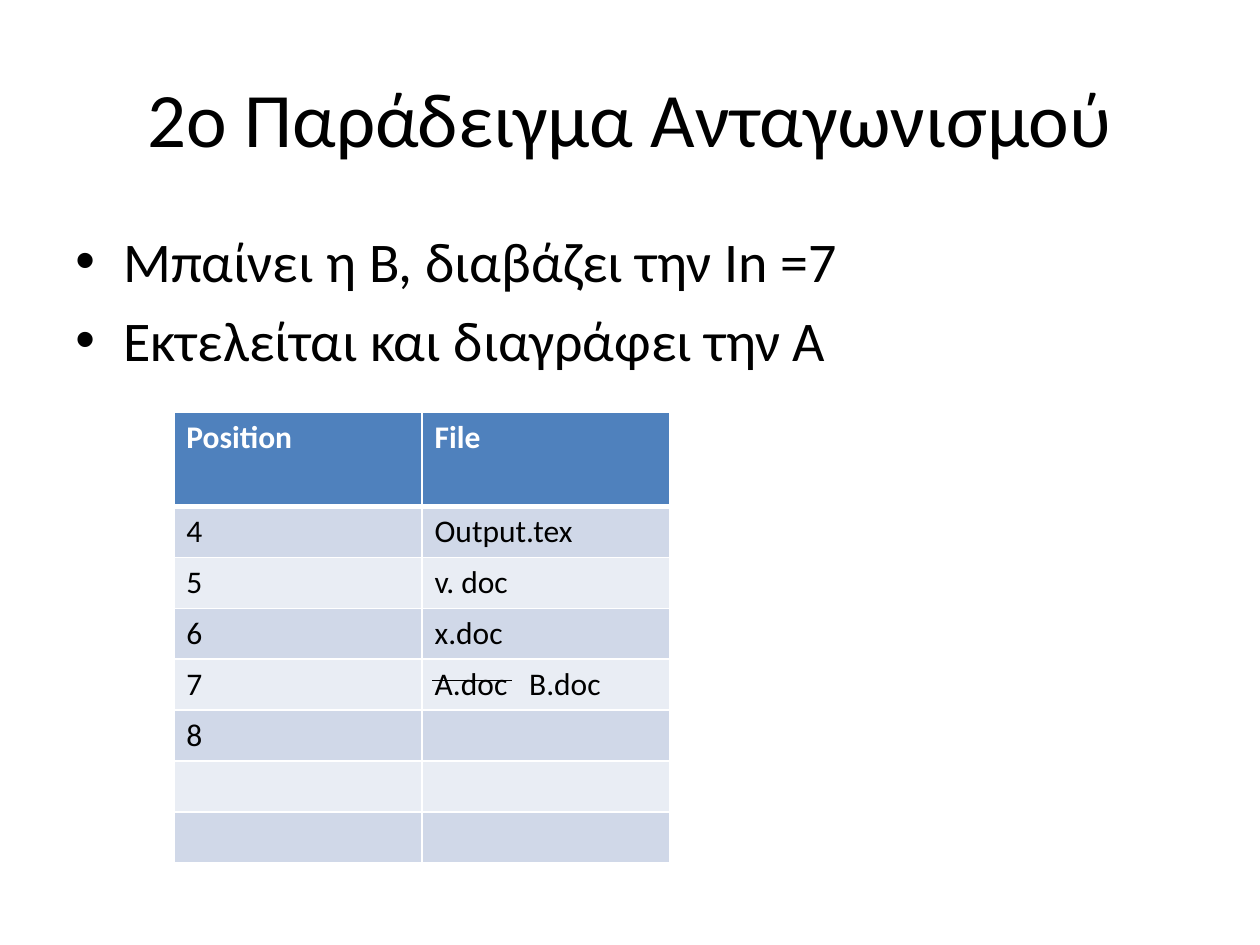
from lxml.etree import SubElement
from pptx import Presentation
from pptx.dml.color import RGBColor
from pptx.enum.shapes import MSO_CONNECTOR
from pptx.enum.text import MSO_ANCHOR, PP_ALIGN
from pptx.oxml.ns import qn
from pptx.util import Emu, Inches, Pt

BLACK, WHITE = "000000", "FFFFFF"
HEAD, BANDS = "4F81BD", ("D0D8E8", "E9EDF4")


def tint(code):
    return RGBColor.from_string(code)


def edge(cell, side, width):
    """Draw one white border of a cell."""
    line = SubElement(cell._tc.get_or_add_tcPr(), qn(f"a:ln{side}"), w=str(Pt(width)))
    fill = SubElement(line, qn("a:solidFill"))
    SubElement(fill, qn("a:srgbClr"), val=WHITE)


class Deck:
    """Holds the style and the current slide; places are shares of its size."""

    font = "Calibri"
    indent = Inches(0.38)
    gap = Inches(0.75)

    def __init__(self):
        self.show = Presentation()
        self.show.slide_width, self.show.slide_height = Inches(10), Inches(7.5)
        self.slide = self.show.slides.add_slide(self.show.slide_layouts[5])

    def box(self, x, y, w, h):
        wide, high = self.show.slide_width, self.show.slide_height
        return [Emu(round(n)) for n in (x * wide, y * high, w * wide, h * high)]

    def text(self, par, words, size, color=BLACK, bold=False):
        run = par.add_run()
        run.text = words
        run.font.name, run.font.size, run.font.bold = self.font, Pt(size), bold
        run.font.color.rgb = tint(color)

    def title(self, words, *area):
        shape = self.slide.shapes.title
        shape.left, shape.top, shape.width, shape.height = self.box(*area)
        frame = shape.text_frame
        frame.vertical_anchor = MSO_ANCHOR.MIDDLE
        par = frame.paragraphs[0]
        par.alignment = PP_ALIGN.CENTER
        self.text(par, words, 44)

    def points(self, items, *area):
        frame = self.slide.shapes.add_textbox(*self.box(*area)).text_frame
        frame.word_wrap = True
        for i, item in enumerate(items):
            par = frame.add_paragraph() if i else frame.paragraphs[0]
            par.space_before = Pt(6.4)
            props = par._p.get_or_add_pPr()
            props.set("marL", str(self.indent))
            props.set("indent", str(-self.indent))
            SubElement(props, qn("a:buFont"), typeface="Arial")
            SubElement(props, qn("a:buChar"), char="•")
            self.text(par, item, 32)

    def table(self, rows, top, *area):
        """Draw a banded table whose first row has the height top, in inches."""
        left, y, w, h = self.box(*area)
        grid = self.slide.shapes.add_table(len(rows), len(rows[0]), left, y, w, h).table
        first = Inches(top)
        for r, row in enumerate(rows):
            grid.rows[r].height = Emu((h - first) // (len(rows) - 1)) if r else first
            for c, words in enumerate(row):
                self.cell(grid.cell(r, c), words, r)

    def cell(self, cell, words, row):
        for side in "LRTB":
            thick = side == "B" and row == 0 or side == "T" and row == 1
            edge(cell, side, 3 if thick else 1)
        cell.fill.solid()
        cell.fill.fore_color.rgb = tint(BANDS[(row - 1) % 2] if row else HEAD)
        par = cell.text_frame.paragraphs[0]
        if "\t" in words:
            tabs = SubElement(par._p.get_or_add_pPr(), qn("a:tabLst"))
            SubElement(tabs, qn("a:tab"), pos=str(self.gap), algn="l")
        if words:
            self.text(par, words, 18, BLACK if row else WHITE, row == 0)

    def line(self, x, y, w):
        left, top, wide, _ = self.box(x, y, w, 0)
        link = self.slide.shapes.add_connector(
            MSO_CONNECTOR.STRAIGHT, left, top, left + wide, top)
        link.line.color.rgb, link.line.width = tint(BLACK), Pt(0.75)
        SubElement(link._element.spPr, qn("a:effectLst"))


def main():
    deck = Deck()
    deck.title("2o Παράδειγμα Ανταγωνισμού", 0.05, 0.04, 0.9, 1 / 6)
    deck.points(["Μπαίνει η Β, διαβάζει την In =7", "Εκτελείται και διαγράφει την Α"],
                0.05, 1.75 / 7.5, 0.9, 0.66)
    files = [("Position", "File"), ("4", "Output.tex"), ("5", "v. doc"), ("6", "x.doc"),
             ("7", "Α.doc\tΒ.doc"), ("8", ""), ("", ""), ("", "")]
    deck.table(files, 0.75, 0.138, 3.27 / 7.5, 0.394, 3.58 / 7.5)
    deck.line(0.343, 0.72, 0.063)
    deck.show.save("out.pptx")


if __name__ == "__main__":
    main()
